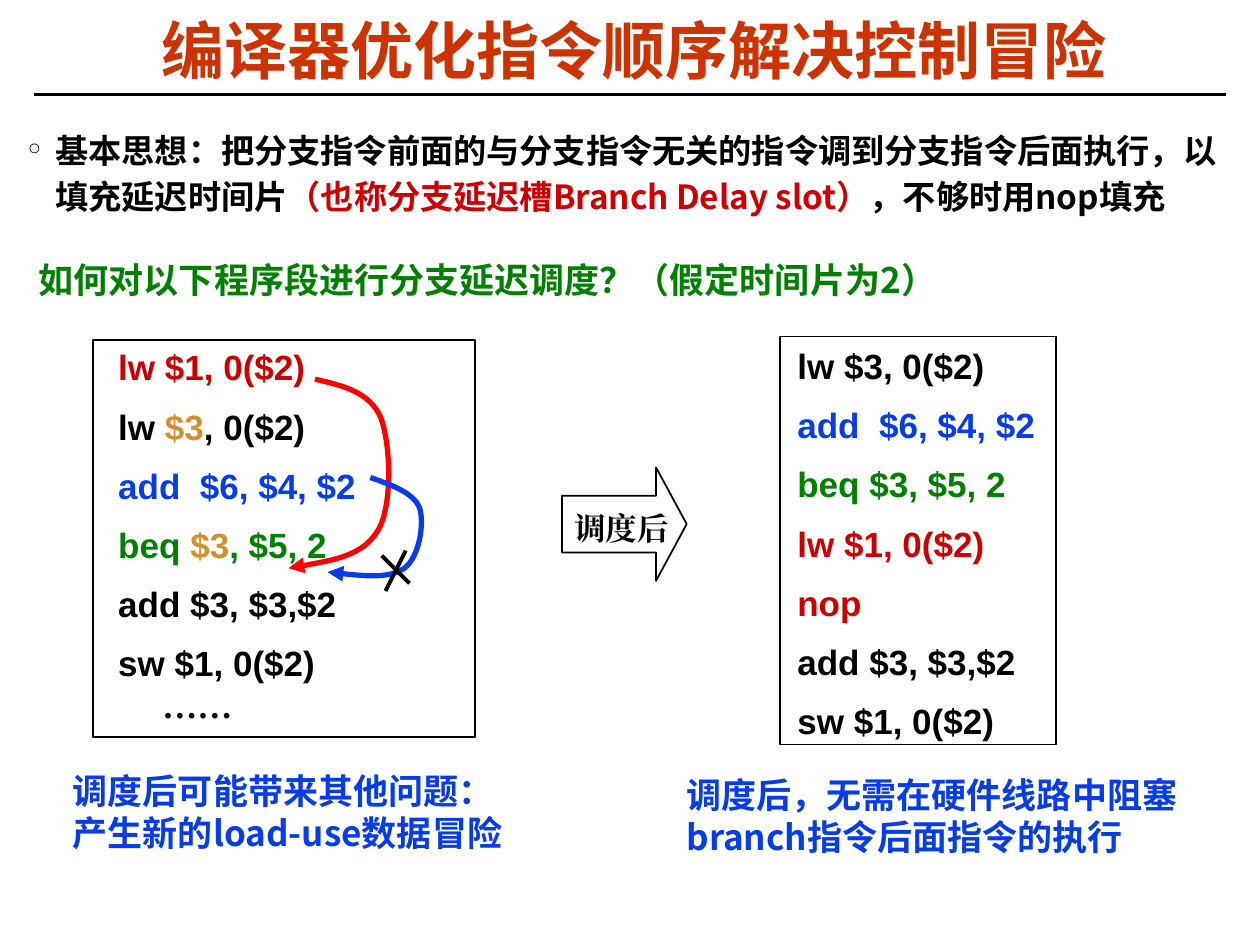
from dataclasses import dataclass

from lxml.etree import SubElement
from pptx import Presentation
from pptx.dml.color import RGBColor as RGB
from pptx.enum.shapes import MSO_CONNECTOR as Connector, MSO_SHAPE as Shape
from pptx.enum.text import PP_ALIGN as Align
from pptx.oxml.ns import qn
from pptx.util import Inches, Pt

UNIT = Inches(0.1)  # the slide is a grid of 100 columns by 75 rows
COLS, ROWS = 100, 75


@dataclass(frozen=True)
class Theme:
    black: str = "000000"
    title: str = "CC3300"
    red: str = "CC0000"
    green: str = "008000"
    blue: str = "063DE8"
    gold: str = "CF922F"
    arrow_red: str = "FF0000"
    cjk: str = "Noto Sans CJK SC"
    code: str = "Arial"
    serif: str = "Times New Roman"
    title_size: float = 36
    text_size: float = 20
    body_size: float = 19
    label_size: float = 18


T = Theme()


@dataclass(frozen=True)
class Box:
    col: float
    row: float
    cols: float
    rows: float

    def emu(self):
        return [grid(v) for v in (self.col, self.row, self.cols, self.rows)]

    def inner(self, col, row, cols, rows):
        return Box(self.col + col, self.row + row, cols, rows)


def grid(units):
    return round(units * UNIT)


def set_font(font, size, face, color=None):
    font.size, font.name, font.bold = Pt(size), face, True
    if color:
        font.color.rgb = RGB.from_string(color)
    SubElement(font._element, qn("a:ea"), typeface=face)


def add_text(slide, box, lines, size, face, wrap=True, margins=(0.1, 0.05),
             spacing=None, before=0):
    """Each line is a list of (words, colour) runs."""
    frame = slide.shapes.add_textbox(*box.emu()).text_frame
    frame.word_wrap = wrap
    frame.margin_left = frame.margin_right = Inches(margins[0])
    frame.margin_top = frame.margin_bottom = Inches(margins[1])
    for i, runs in enumerate(lines):
        line = frame.paragraphs[0] if i == 0 else frame.add_paragraph()
        if spacing:
            line.line_spacing = spacing
        if i:
            line.space_before = Pt(before)
        colors = {color for _, color in runs}
        set_font(line.font, size, face, colors.pop() if len(colors) == 1 else None)
        for words, color in runs:
            run = line.add_run()
            run.text = words
            if colors:
                run.font.color.rgb = RGB.from_string(color)
    return frame


def style_line(shape, color, width, arrow=False):
    shape.line.color.rgb = RGB.from_string(color)
    shape.line.width = Pt(width)
    if arrow:
        SubElement(shape.line._get_or_add_ln(), qn("a:tailEnd"), type="triangle")


def add_line(slide, start, end, width):
    line = slide.shapes.add_connector(
        Connector.STRAIGHT, *(grid(v) for v in (*start, *end)))
    style_line(line, T.black, width)
    SubElement(line._element.spPr, qn("a:effectLst"))


def add_outline(slide, kind, box):
    outline = slide.shapes.add_shape(kind, *box.emu())
    outline.shadow.inherit = False
    outline.fill.background()
    style_line(outline, T.black, 1)
    return outline


def add_curve(slide, box, points, color):
    """Arrow of cubic curves: a start, then three points for each curve."""
    (x, y), *rest = [(grid(box.col + c), grid(box.row + r)) for c, r in points]
    builder = slide.shapes.build_freeform(x, y)
    builder.add_line_segments(rest, close=False)
    curve = builder.convert_to_shape()
    curve.shadow.inherit = False
    curve.fill.background()
    style_line(curve, color, 3, arrow=True)
    # Gather the straight segments three by three into curves
    outline = next(curve._element.iter(qn("a:path")))
    segments = outline.findall(qn("a:lnTo"))
    for i in range(0, len(segments), 3):
        cubic = SubElement(outline, qn("a:cubicBezTo"))
        for segment in segments[i:i + 3]:
            cubic.append(segment[0])
            outline.remove(segment)


def add_header(slide, box):
    words = [[("编译器优化指令顺序解决控制冒险", T.title)]]
    frame = add_text(slide, box.inner(6.4, 0, 82.5, 5.8), words, T.title_size,
                     T.code, margins=(0.07, 0.03), spacing=0.87)
    frame.paragraphs[0].alignment = Align.CENTER
    rule = box.row + box.rows
    add_line(slide, (box.col, rule), (box.col + box.cols, rule), 1.5)


def add_idea(slide, box):
    runs = [("基本思想：把分支指令前面的与分支指令无关的指令调到分支指令后面执行，以填充延迟时间片", T.black),
            ("（也称分支延迟槽Branch Delay slot）", T.red),
            ("，不够时用nop填充", T.black)]
    frame = add_text(slide, box, [runs], T.body_size, T.cjk,
                     margins=(0.07, 0.03), spacing=1.15)
    # Hanging bullet, placed ahead of the paragraph's font
    props = frame.paragraphs[0]._p.get_or_add_pPr()
    props.set("marL", str(Inches(0.22)))
    props.set("indent", str(-Inches(0.22)))
    bullet_color = SubElement(props, qn("a:buClr"))
    SubElement(bullet_color, qn("a:srgbClr"), val=T.black)
    SubElement(props, qn("a:buChar"), char="°")
    props.append(props.find(qn("a:defRPr")))


def add_listing(slide, box, offset, code):
    """Framed code; offset is where the text box starts from the frame."""
    text_box = box.inner(*offset, box.cols, box.rows)
    frame = add_text(slide, text_box, code, T.text_size, T.code, wrap=False,
                     spacing=1.2, before=5)
    add_outline(slide, Shape.RECTANGLE, box)
    return frame


def add_before(slide, box):
    frame = add_listing(slide, box, (1, -0.7), [
        [("lw $1, 0($2)", T.red)],
        [("lw ", T.black), ("$3", T.gold), (", 0($2)", T.black)],
        [("add  $6, $4, $2", T.blue)],
        [("beq ", T.green), ("$3", T.gold), (", $5, 2", T.green)],
        [("add $3, $3,$2", T.black)],
        [("sw $1, 0($2)", T.black)],
    ])
    more = frame.add_paragraph()
    more.text = "……"
    more._p.get_or_add_pPr().set("marL", str(Inches(0.35)))
    set_font(more.font, T.text_size, T.serif, T.black)

    # Moves of lw and add past the branch
    add_curve(slide, box, [
        (17.6, 3.1), (19.8, 3.6), (21.9, 4.1), (22.8, 6.1), (23.6, 8.1),
        (23.8, 13.1), (22.6, 15.1), (21.4, 17.1), (18.4, 17.6), (15.5, 18.1),
    ], T.arrow_red)
    add_curve(slide, box, [
        (22, 10.9), (23.7, 11.5), (25.4, 12.1), (25.9, 13.3), (26.3, 14.5),
        (25.9, 17.2), (24.7, 18.1), (23.5, 18.9), (21.1, 18.7), (18.6, 18.4),
    ], T.blue)
    # Cross on the move of add
    for start, end in (((24.8, 16.7), (23.2, 19.9)), ((22.9, 17.1), (25.1, 19.3))):
        add_line(slide, *((box.col + c, box.row + r) for c, r in (start, end)), 2.25)


def add_after(slide, box):
    add_listing(slide, box, (0.4, -0.5), [[line] for line in (
        ("lw $3, 0($2)", T.black), ("add  $6, $4, $2", T.blue),
        ("beq $3, $5, 2", T.green), ("lw $1, 0($2)", T.red), ("nop", T.red),
        ("add $3, $3,$2", T.black), ("sw $1, 0($2)", T.black))])


def add_step(slide, box):
    arrow = add_outline(slide, Shape.RIGHT_ARROW, box)
    arrow.adjustments[0], arrow.adjustments[1] = 0.5, 0.27
    add_text(slide, box.inner(0, 2.8, 11, 4), [[("调度后", T.black)]],
             T.label_size, T.serif)


def add_note(slide, box, words, color):
    add_text(slide, box, [[(words, color)]], T.text_size, T.cjk)


def main():
    deck = Presentation()
    deck.slide_width, deck.slide_height = COLS * UNIT, ROWS * UNIT
    slide = deck.slides.add_slide(deck.slide_layouts[6])
    add_header(slide, Box(2.7, 1.4, 94.6, 6.1))
    add_idea(slide, Box(1.5, 9.6, 96.5, 7.8))
    add_note(slide, Box(2.1, 20, 89.6, 4.4),
             "如何对以下程序段进行分支延迟调度？（假定时间片为2）", T.green)
    add_before(slide, Box(7.4, 27, 30.3, 31.5))
    add_step(slide, Box(44.6, 37.1, 9.9, 9))
    add_after(slide, Box(61.9, 26.7, 21.9, 32.4))
    add_note(slide, Box(4.8, 60.6, 37.4, 7.7),
             "调度后可能带来其他问题：产生新的load-use数据冒险", T.blue)
    add_note(slide, Box(53.5, 60.9, 44.6, 7.7),
             "调度后，无需在硬件线路中阻塞branch指令后面指令的执行", T.blue)
    deck.save("out.pptx")


if __name__ == "__main__":
    main()
